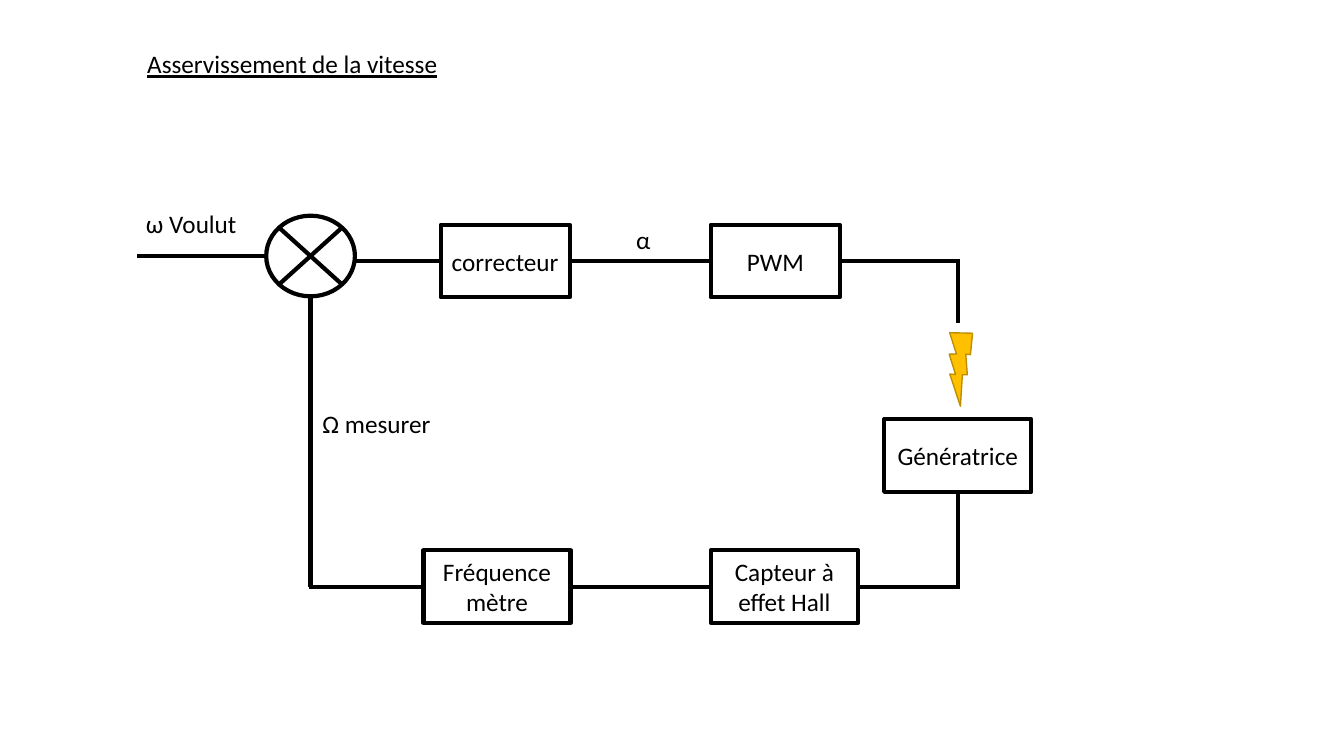
import pptx
import pptx.util
import pptx.dml.color
import pptx.enum.shapes
import pptx.enum.text
import pptx.oxml.ns
import lxml.etree

Inches = pptx.util.Inches
Pt = pptx.util.Pt
RGBColor = pptx.dml.color.RGBColor
SHAPE = pptx.enum.shapes.MSO_SHAPE
ALIGN = pptx.enum.text.PP_ALIGN
ANCHOR = pptx.enum.text.MSO_ANCHOR

BLACK = RGBColor(0, 0, 0)
GOLD = RGBColor(0xFF, 0xC0, 0x00)
OCHRE = RGBColor(0xBD, 0x8E, 0x00)
HIGH = 0.72
TOP, LEFT, BOTTOM, RIGHT = range(4)


def write(frame, text, align):
    frame.text = text
    frame.word_wrap = True
    para = frame.paragraphs[0]
    para.alignment = align
    para.font.name = "Calibri"
    para.font.size = Pt(18)
    para.font.color.rgb = BLACK
    return para


def outline(kind, left, top, width, height):
    """Add an unfilled shape with a thick black line."""
    shape = slide.shapes.add_shape(
        kind, Inches(left), Inches(top), Inches(width), Inches(height))
    shape.shadow.inherit = False
    shape.fill.background()
    shape.line.color.rgb = BLACK
    shape.line.width = Pt(3)
    return shape


deck = pptx.Presentation()
deck.slide_width = Inches(13.33)
deck.slide_height = Inches(7.5)
slide = deck.slides.add_slide(deck.slide_layouts[5])

title = slide.shapes.title
title.left, title.top = Inches(1.36), Inches(0.43)
title.width, title.height = Inches(10.05), Inches(0.4)
title.text_frame.vertical_anchor = ANCHOR.TOP
write(title.text_frame, "Asservissement de la vitesse", ALIGN.LEFT).font.underline = True

# Blocks of the loop
blocks = {}
for name, left, top, width in [
    ("correcteur", 4.37, 2.23, 1.28),
    ("PWM", 7.05, 2.23, 1.28),
    ("Génératrice", 8.77, 4.16, 1.46),
    ("Capteur à effet Hall", 7.05, 5.46, 1.46),
    ("Fréquencemètre", 4.2, 5.46, 1.46),
]:
    block = outline(SHAPE.RECTANGLE, left, top, width, HIGH)
    block.text_frame.vertical_anchor = ANCHOR.MIDDLE
    write(block.text_frame, name, ALIGN.CENTER)
    blocks[name] = block

outline(SHAPE.OVAL, 2.64, 2.14, 0.88, 0.8)

bolt = outline(SHAPE.LIGHTNING_BOLT, 9.26, 3.28, 0.49, 0.67)
bolt.rotation = 33.4
bolt.fill.solid()
bolt.fill.fore_color.rgb = GOLD
bolt.line.color.rgb = OCHRE
bolt.line.width = Pt(1)

# Wires: each end is a point or a block with one of its sides
for start, end in [
    ((2.77, 2.26), (3.39, 2.82)),
    ((2.77, 2.82), (3.39, 2.26)),
    ((1.36, 2.54), (2.64, 2.54)),
    ((3.52, 2.59), ("correcteur", LEFT)),
    (("correcteur", RIGHT), ("PWM", LEFT)),
    (("PWM", RIGHT), (9.5, 2.59)),
    ((9.5, 2.57), (9.5, 3.2)),
    (("Génératrice", BOTTOM), (9.5, 5.84)),
    (("Capteur à effet Hall", RIGHT), (9.5, 5.82)),
    (("Fréquencemètre", RIGHT), ("Capteur à effet Hall", LEFT)),
    ((3.06, 5.82), ("Fréquencemètre", LEFT)),
    ((3.08, 2.94), (3.08, 5.82)),
]:
    wire = slide.shapes.add_connector(pptx.enum.shapes.MSO_CONNECTOR.STRAIGHT, 0, 0, 0, 0)
    if start[0] in blocks:
        wire.begin_connect(blocks[start[0]], start[1])
    else:
        wire.begin_x, wire.begin_y = map(Inches, start)
    if end[0] in blocks:
        wire.end_connect(blocks[end[0]], end[1])
    else:
        wire.end_x, wire.end_y = map(Inches, end)
    wire.line.color.rgb = BLACK
    wire.line.width = Pt(3)
    lxml.etree.SubElement(wire._element.spPr, pptx.oxml.ns.qn("a:effectLst"))

# Signal names
for text, left, top, width in [
    ("ω Voulut", 1.35, 2.02, 1.2),
    ("Ω mesurer", 3.1, 4, 1.39),
    ("α", 6.21, 2.18, 0.75),
]:
    label = slide.shapes.add_textbox(Inches(left), Inches(top), Inches(width), Inches(0.4))
    write(label.text_frame, text, ALIGN.LEFT)

deck.save("out.pptx")
